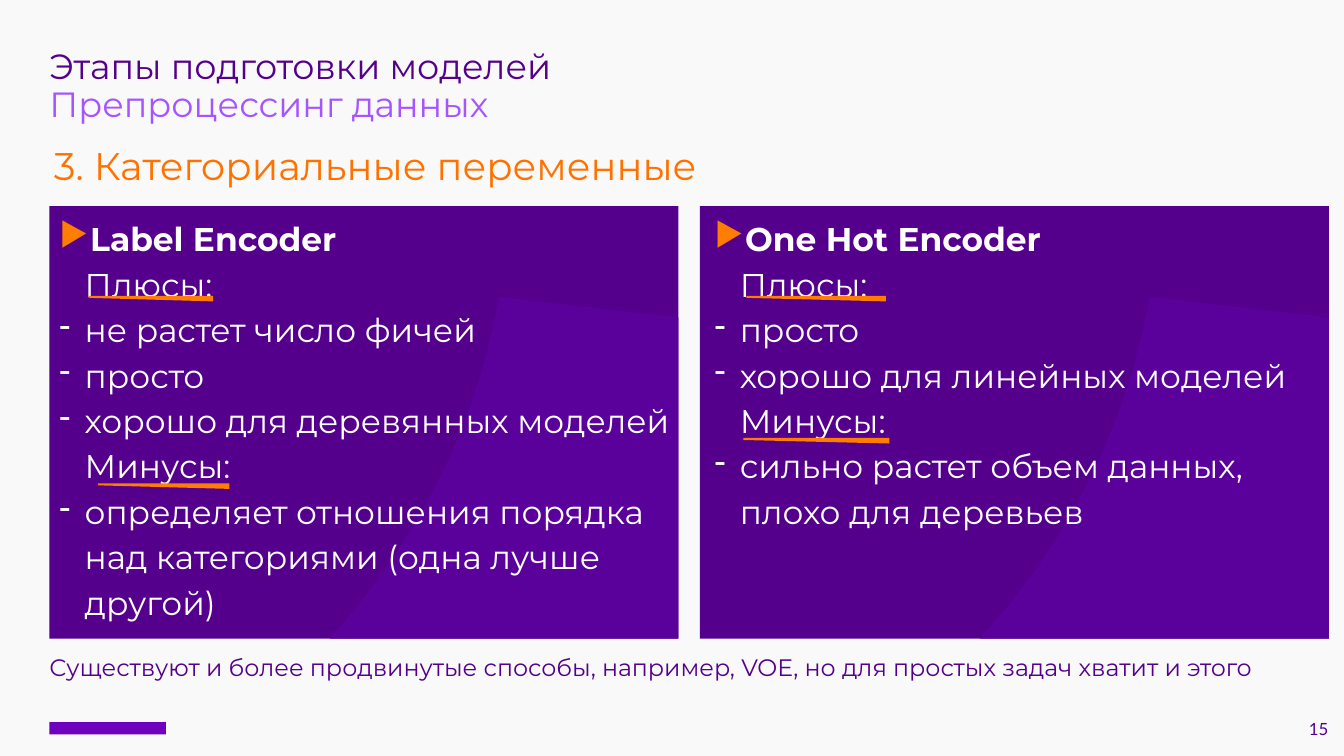
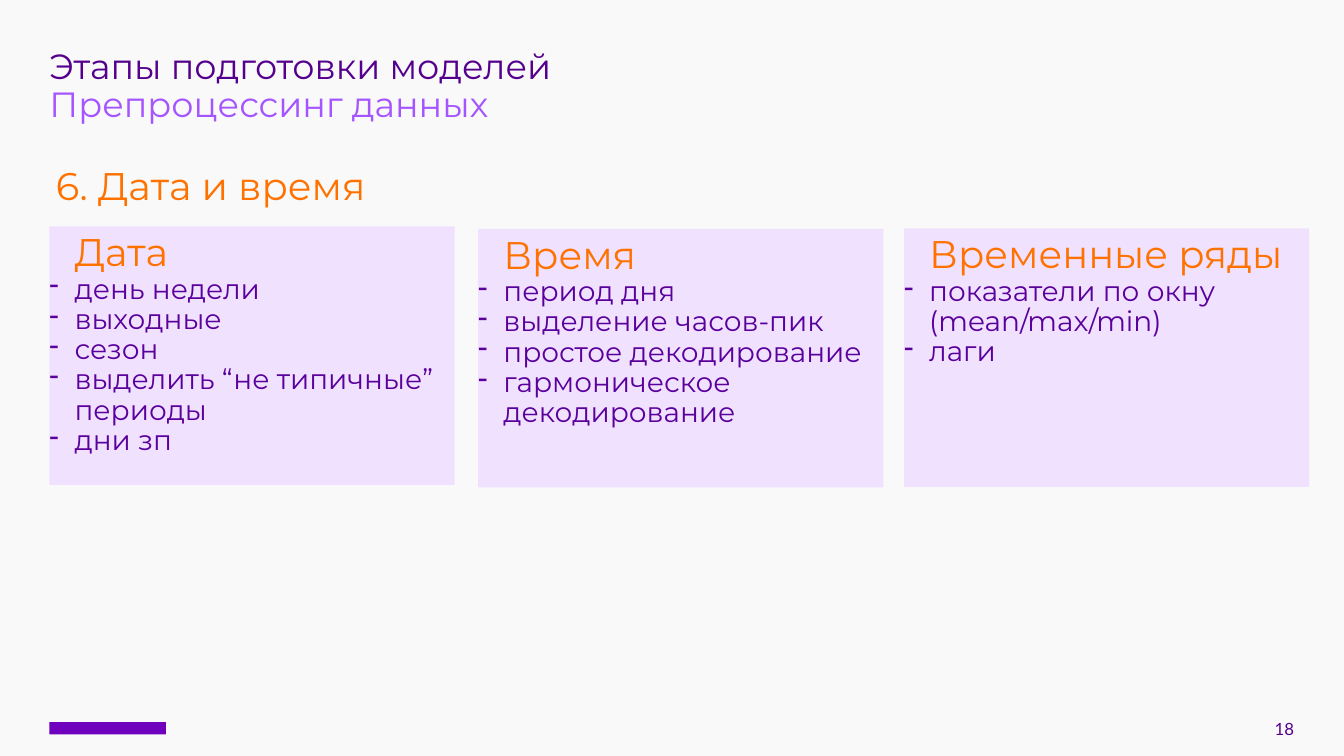
from lxml.etree import SubElement
from pptx import Presentation
from pptx.dml.color import RGBColor
from pptx.enum.shapes import MSO_SHAPE
from pptx.enum.text import MSO_ANCHOR, PP_ALIGN
from pptx.oxml.ns import qn
from pptx.util import Inches, Pt

W, H, MARGIN = 26.67, 15, 0.98
BACK, PURPLE, DEEP, LILAC = "F9F9F9", "55008C", "5A009B", "F0E1FF"
VIOLET, BRAND, ORANGE, HEADING, WHITE = "A555FF", "6E00BE", "FF7D00", "FF7200", "FFFFFF"
TITLE = [("Этапы подготовки моделей", PURPLE), ("Препроцессинг данных", VIOLET)]

# Encoder panels: a line is (kind, text); a stroke is (left, top, width)
PANEL_TOP, PANEL_W, PANEL_H, PANEL_STEP = 4.09, 12.48, 8.58, 12.91
ENCODERS = [
    dict(text_left=1.18, text_w=12.48,
         lines=[("head", "Label Encoder"),
                ("label", "Плюсы:"),
                ("item", "не растет число фичей"),
                ("item", "просто"),
                ("item", "хорошо для деревянных моделей"),
                ("label", "Минусы:"),
                ("item", "определяет отношения порядка над категориями (одна лучше другой)")],
         strokes=[(1.76, 5.87, 2.47), (1.95, 9.59, 2.6)]),
    dict(text_left=14.18, text_w=11.71,
         lines=[("head", "One Hot Encoder"),
                ("label", "Плюсы:"),
                ("item", "просто"),
                ("item", "хорошо для линейных моделей"),
                ("label", "Минусы:"),
                ("item", "сильно растет объем данных, плохо для деревьев")],
         strokes=[(14.81, 5.87, 2.77), (14.75, 8.69, 2.9)]),
]
NOTE = "Существуют и более продвинутые способы, например, VOE, но для простых задач хватит и этого"

# Curved edge of the lighter part of a panel, measured from the panel's corner
ARCS = [[(5.56, 8.58), (6.4, 7.65), (7.11, 6.63), (7.67, 5.54)],
        [(7.67, 5.54), (8.28, 4.35), (8.7, 3.09), (8.92, 1.8)]]

# Feature cards: left, top, heading, items
CARD_W, CARD_H = 8.04, 5.13
CARDS = [
    (0.98, 4.49, "Дата",
     ["день недели", "выходные", "сезон", "выделить “не типичные” периоды", "дни зп"]),
    (9.49, 4.54, "Время",
     ["период дня", "выделение часов-пик", "простое декодирование",
      "гармоническое декодирование"]),
    (17.94, 4.53, "Временные ряды",
     ["показатели по окну (mean/max/min)", "лаги"]),
]


def rgb(color):
    return RGBColor.from_string(color)


def paint(sp, color):
    sp.shadow.inherit = False
    sp.fill.solid()
    sp.fill.fore_color.rgb = rgb(color)
    sp.line.fill.background()


def add_rect(s, x, y, w, h, color):
    paint(s.shapes.add_shape(MSO_SHAPE.RECTANGLE, Inches(x), Inches(y), Inches(w), Inches(h)), color)


def add_outline(s, points, color):
    points = [(Inches(x), Inches(y)) for x, y in points]
    fb = s.shapes.build_freeform(*points[0])
    fb.add_line_segments(points[1:], close=True)
    paint(fb.convert_to_shape(), color)


def add_text(s, x, y, w, h, anchor=MSO_ANCHOR.TOP):
    tf = s.shapes.add_textbox(Inches(x), Inches(y), Inches(w), Inches(h)).text_frame
    tf.word_wrap = True
    tf.vertical_anchor = anchor
    tf.margin_left = tf.margin_right = tf.margin_top = tf.margin_bottom = 0
    return tf


def add_line(tf, text, size, color, spacing=0.9, indent=0, bullet=None, bullet_color=None,
             bold=False, font="Montserrat"):
    """Fill the empty first paragraph, or add one more."""
    p = tf.paragraphs[0] if not tf.paragraphs[0].runs else tf.add_paragraph()
    p.line_spacing = spacing
    pPr = p._p.get_or_add_pPr()
    pPr.set("marL", str(Inches(indent)))
    pPr.set("indent", str(-Inches(indent) if bullet else 0))
    if bullet:
        clr = SubElement(pPr, qn("a:buClr"))
        SubElement(clr, qn("a:srgbClr")).set("val", bullet_color or color)
        SubElement(pPr, qn("a:buChar")).set("char", bullet)
    r = p.add_run()
    r.text = text
    r.font.name, r.font.size, r.font.bold = font, Pt(size), bold
    r.font.color.rgb = rgb(color)
    return p


def bezier(p0, p1, p2, p3, steps=12):
    for i in range(steps + 1):
        t = i / steps
        u = 1 - t
        yield tuple(u**3 * a + 3 * u * u * t * b + 3 * u * t * t * c + t**3 * d
                    for a, b, c, d in zip(p0, p1, p2, p3))


def new_slide(prs, number, number_right, heading, heading_left, heading_top):
    s = prs.slides.add_slide(prs.slide_layouts[6])
    s.background.fill.solid()
    s.background.fill.fore_color.rgb = rgb(BACK)
    add_rect(s, MARGIN, 14.33, 2.31, 0.24, BRAND)
    tf = add_text(s, number_right - 6, 13.86, 6, 0.8, MSO_ANCHOR.BOTTOM)
    add_line(tf, number, 24, PURPLE, spacing=1.0, font="Lato").alignment = PP_ALIGN.RIGHT
    tf = add_text(s, MARGIN, MARGIN, 15.78, 1.63)
    for text, color in TITLE:
        add_line(tf, text, 50, color)
    tf = add_text(s, heading_left, heading_top, 14.66, 1)
    add_line(tf, heading, 55, HEADING, indent=0.5)
    return s


def add_panel(s, left, encoder):
    add_rect(s, left, PANEL_TOP, PANEL_W, PANEL_H, PURPLE)
    edge = [(PANEL_W, 2.21), (PANEL_W, PANEL_H)] + [pt for arc in ARCS for pt in bezier(*arc)]
    add_outline(s, [(left + x, PANEL_TOP + y) for x, y in edge], DEEP)
    tf = add_text(s, encoder["text_left"], 4.23, encoder["text_w"], 8.44)
    styles = {"head": dict(bullet="▶", bullet_color=ORANGE, bold=True),
              "label": {}, "item": dict(bullet="-")}
    for kind, text in encoder["lines"]:
        add_line(tf, text, 47, WHITE, spacing=1.15, indent=0.5, **styles[kind])
    for x, y, w in encoder["strokes"]:
        add_outline(s, [(x, y), (x + w, y), (x + w, y + 0.11), (x, y + 0.04)], ORANGE)


def add_card(s, left, top, heading, items):
    add_rect(s, left, top, CARD_W, CARD_H, LILAC)
    tf = add_text(s, left, top + 0.14, CARD_W, CARD_H)
    add_line(tf, heading, 55, HEADING, indent=0.5)
    for item in items:
        add_line(tf, item, 40, DEEP, indent=0.5, bullet="-")


def main():
    prs = Presentation()
    prs.slide_width, prs.slide_height = Inches(W), Inches(H)

    s = new_slide(prs, "15", 26.36, "3. Категориальные переменные", 0.57, 2.92)
    for i, encoder in enumerate(ENCODERS):
        add_panel(s, MARGIN + i * PANEL_STEP, encoder)
    add_line(add_text(s, MARGIN, 13.02, 25.38, 1.14), NOTE, 34, PURPLE)

    s = new_slide(prs, "18", 25.68, "6. Дата и время", 0.61, 3.31)
    for card in CARDS:
        add_card(s, *card)

    prs.save("out.pptx")


if __name__ == "__main__":
    main()
